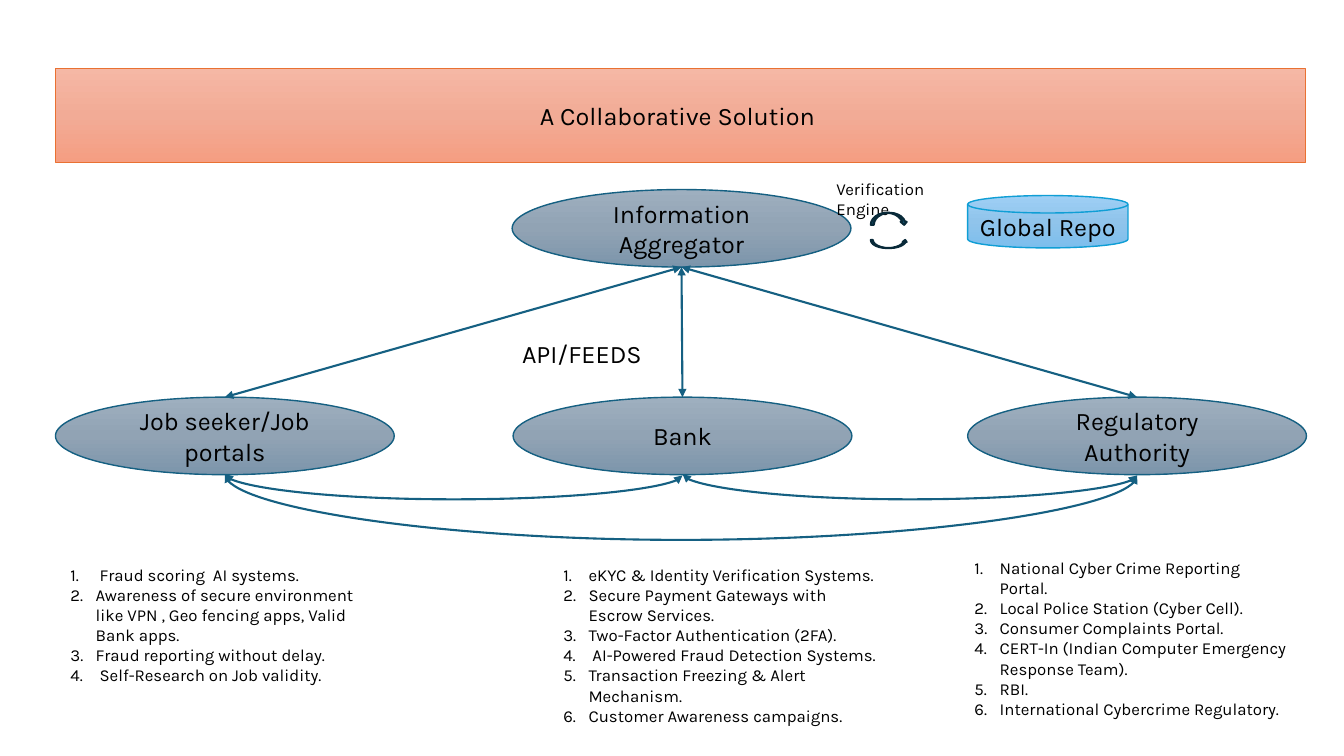
from copy import deepcopy

from pptx import Presentation
from pptx.dml.color import RGBColor
from pptx.enum.shapes import MSO_CONNECTOR as CONN, MSO_SHAPE as SHAPE
from pptx.enum.text import MSO_ANCHOR as ANCHOR, MSO_AUTO_SIZE as AUTO, PP_ALIGN as ALIGN
from pptx.oxml.ns import qn
from pptx.util import Pt

FONT = "Karla"
COLORS = {"text": "000000", "banner_line": "E97132", "teal": "156082",
          "repo_line": "0F9ED5", "cycle_line": "092A39"}
GRADIENTS = {
    "banner": ("F5B8A5", "F2AB96", "F59E82"),
    "node": ("9EAFBF", "91A3B4", "7C95AB"),
    "repo": ("9ECFF5", "90C4EB", "7CBEED"),
}

TITLE = "A Collaborative Solution "
BANNER_BOX = (39.6, 49, 892.8, 67)
NODE_W, NODE_H = 242, 55.4
HUB_Y, PARTY_Y = 135.4, 283.7
HUB = ("Information Aggregator", 365.8)
PARTIES = [("Job seeker/Job portals", 39.6), ("Bank", 366.5), ("Regulatory Authority", 691.2)]
# from party, to party, depth of the curve
LOOPS = [(0, 1, 18.2), (1, 2, 18.2), (0, 2, 47.4)]
REPO = ("Global Repo", (691.2, 139.7, 114.5, 37.4))
CYCLE = [(SHAPE.CURVED_DOWN_ARROW, (622, 152, 26, 8.6)),
         (SHAPE.CURVED_UP_ARROW, (622, 171.4, 26, 5.8))]
LABELS = [("Verification Engine", 12, (590.4, 123.8, 114.5, 21.6)),
          ("API/FEEDS", 18, (365.8, 238.3, 249, 29))]
LISTS = [
    ((43.2, 399.6, 238.3, 131), [
        " Fraud scoring  AI systems.",
        "Awareness of secure environment like VPN , Geo fencing apps, Valid Bank apps.",
        "Fraud reporting without delay.",
        " Self-Research on Job validity."]),
    ((395.3, 399.6, 238.3, 145.4), [
        "eKYC & Identity Verification Systems.",
        "Secure Payment Gateways with Escrow Services.",
        "Two-Factor Authentication (2FA).",
        " AI-Powered Fraud Detection Systems.",
        "Transaction Freezing & Alert Mechanism. ",
        "Customer Awareness campaigns."]),
    ((689, 394.6, 238.3, 108.7), [
        "National Cyber Crime Reporting Portal.",
        "Local Police Station (Cyber Cell).",
        "Consumer Complaints Portal.",
        "CERT-In (Indian Computer Emergency Response Team).",
        "RBI.",
        "International Cybercrime Regulatory."]),
]


def rgb(name):
    return RGBColor.from_string(COLORS[name])


def points(values):
    return [Pt(v) for v in values]


def write(p, text, size):
    r = p.add_run()
    r.text = text
    for key, value in {"name": FONT, "size": Pt(size), "bold": False}.items():
        setattr(r.font, key, value)
    r.font.color.rgb = rgb("text")


def outline(s, color, width=1):
    s.line.color.rgb = rgb(color)
    s.line.width = Pt(width)


def decorate(s, gradient, line, text):
    """Give a shape its vertical gradient, outline and centred text."""
    s.fill.gradient()
    s.fill.gradient_angle = 270
    stops = s._element.spPr.find(".//" + qn("a:gsLst"))
    stops.insert(1, deepcopy(stops[0]))
    stops[1].set("pos", "50000")
    for stop, color in zip(s.fill.gradient_stops, GRADIENTS[gradient]):
        stop.color.rgb = RGBColor.from_string(color)
    outline(s, line)
    tf = s.text_frame
    tf.word_wrap, tf.auto_size, tf.vertical_anchor = True, AUTO.NONE, ANCHOR.MIDDLE
    p = tf.paragraphs[0]
    p.alignment = ALIGN.CENTER
    write(p, text, 18)


def add_shape(kind, box):
    s = slide.shapes.add_shape(kind, *points(box))
    s.shadow.inherit = False
    return s


def add_node(text, x, y):
    decorate(add_shape(SHAPE.OVAL, (x, y, NODE_W, NODE_H)), "node", "teal", text)


def add_arrow(kind, *ends):
    """Add a connector with arrowheads at both ends."""
    c = slide.shapes.add_connector(kind, *points(ends))
    outline(c, "teal", 1.5)
    ln = c.line._get_or_add_ln()
    for tag in ("a:headEnd", "a:tailEnd"):
        ln.append(ln.makeelement(qn(tag), {"type": "triangle"}))
    sp_pr = c._element.spPr
    sp_pr.append(sp_pr.makeelement(qn("a:effectLst"), {}))
    return c


def add_loop(x1, x2, y, depth):
    """Hang a U-shaped curve between two points: a thin connector turned by 270 degrees."""
    mid, half = (x1 + x2) / 2, (x2 - x1) / 2
    c = add_arrow(CONN.CURVE, mid - 0.5, y - half, mid + 0.5, y + half)
    xfrm = c._element.spPr.find(qn("a:xfrm"))
    xfrm.set("rot", "16200000")
    xfrm.set("flipH", "1")
    guides = c._element.spPr.find(qn("a:prstGeom")).get_or_add_avLst()
    guides.append(guides.makeelement(
        qn("a:gd"), {"name": "adj1", "fmla": f"val {round(depth * 100000)}"}))


def add_text(box, lines, size, numbered=False):
    tf = slide.shapes.add_textbox(*points(box)).text_frame
    tf.word_wrap = True
    for i, line in enumerate(lines):
        p = tf.add_paragraph() if i else tf.paragraphs[0]
        write(p, line, size)
        if numbered:
            p_pr = p._p.get_or_add_pPr()
            p_pr.set("marL", str(Pt(18)))
            p_pr.set("indent", str(-Pt(18)))
            for tag, attrs in (("a:buFont", {"typeface": FONT}),
                               ("a:buAutoNum", {"type": "arabicPeriod"})):
                p_pr.append(p_pr.makeelement(qn(tag), attrs))


prs = Presentation()
prs.slide_width, prs.slide_height = Pt(960), Pt(540)
slide = prs.slides.add_slide(prs.slide_layouts[5])

title = slide.shapes.title
for key, value in zip(("left", "top", "width", "height"), points(BANNER_BOX)):
    setattr(title, key, value)
decorate(title, "banner", "banner_line", TITLE)

hub_text, hub_x = HUB
add_node(hub_text, hub_x, HUB_Y)
for text, x in PARTIES:
    add_node(text, x, PARTY_Y)

centers = [x + NODE_W / 2 for _, x in PARTIES]
for center in centers:
    add_arrow(CONN.STRAIGHT, hub_x + NODE_W / 2, HUB_Y + NODE_H, center, PARTY_Y)
for start, end, depth in LOOPS:
    add_loop(centers[start], centers[end], PARTY_Y + NODE_H, depth)

repo_text, repo_box = REPO
decorate(add_shape(SHAPE.FLOWCHART_MAGNETIC_DISK, repo_box), "repo", "repo_line", repo_text)
for text, size, box in LABELS:
    add_text(box, [text], size)
for kind, box in CYCLE:
    arrow = add_shape(kind, box)
    arrow.fill.solid()
    arrow.fill.fore_color.rgb = rgb("teal")
    outline(arrow, "cycle_line", 1.5)
for box, items in LISTS:
    add_text(box, items, 12, numbered=True)

prs.save("out.pptx")
